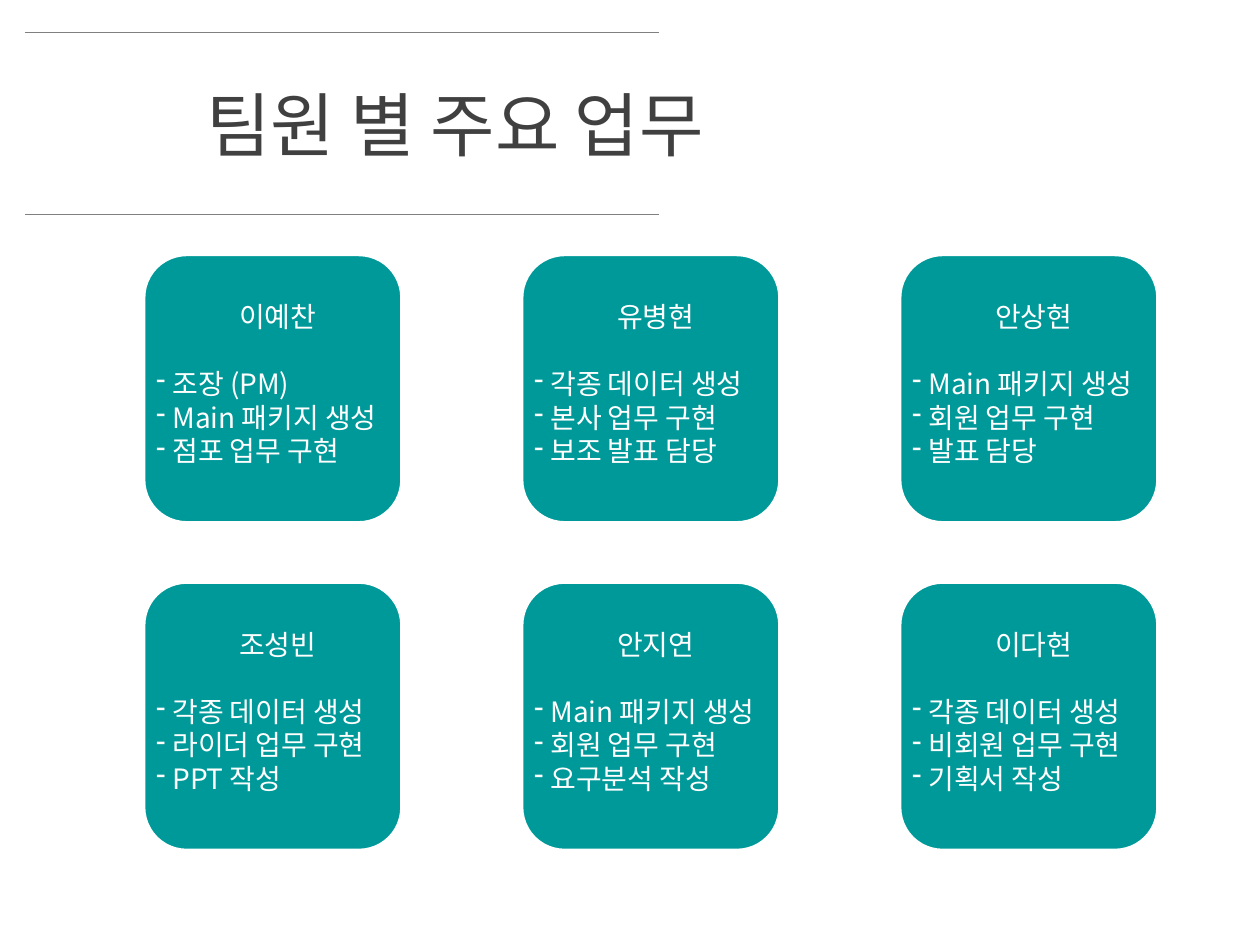
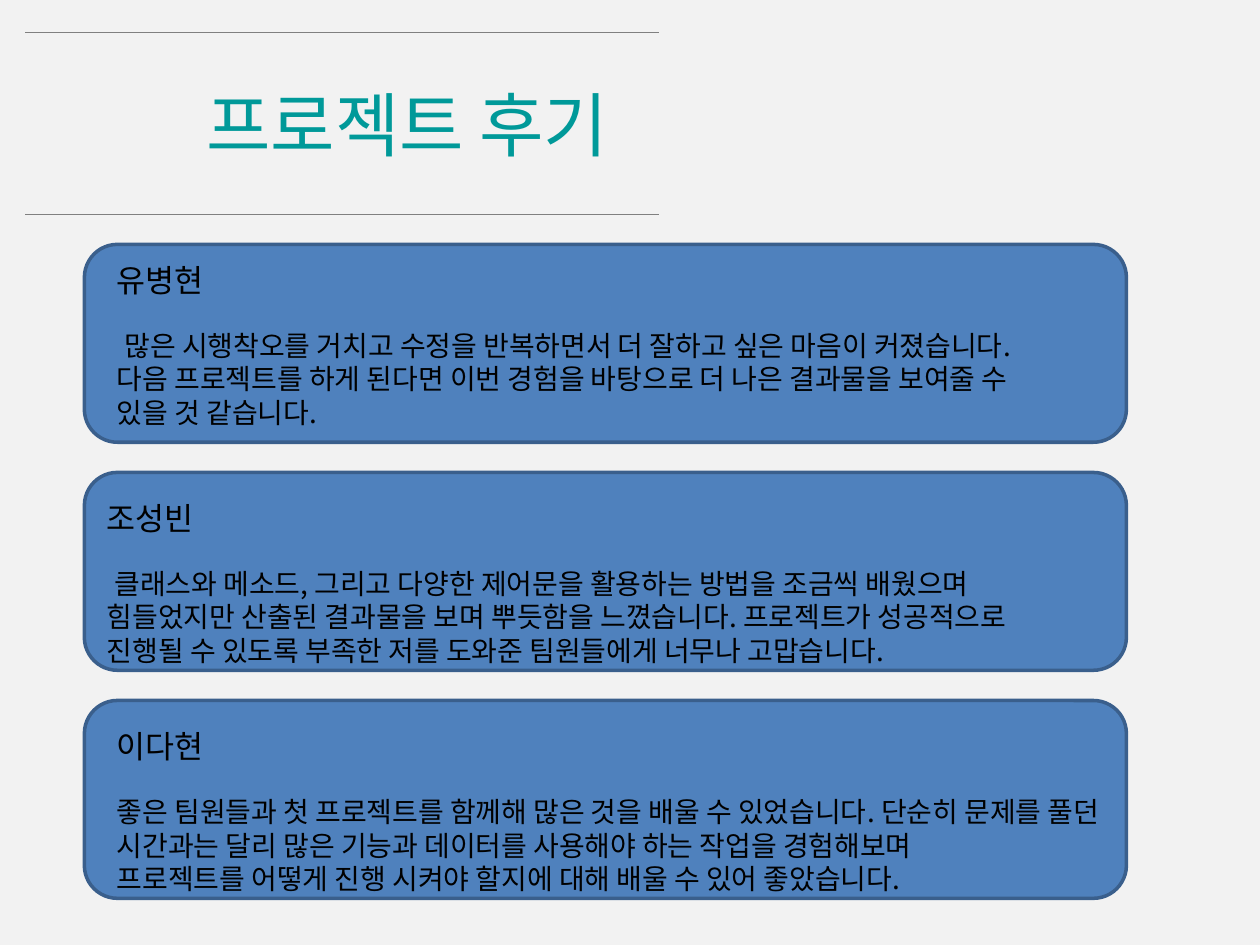
from lxml import etree
from pptx import Presentation
from pptx.dml.color import RGBColor
from pptx.enum.shapes import MSO_CONNECTOR, MSO_SHAPE
from pptx.enum.text import MSO_AUTO_SIZE, PP_ALIGN
from pptx.oxml.ns import qn
from pptx.util import Inches, Pt

ROUNDED = MSO_SHAPE.ROUNDED_RECTANGLE
STRAIGHT = MSO_CONNECTOR.STRAIGHT
GROW = MSO_AUTO_SIZE.SHAPE_TO_FIT_TEXT
CENTER = PP_ALIGN.CENTER

FONT = "Noto Sans CJK KR"
TEAL, WHITE, BLACK = "009999", "FFFFFF", "000000"
DARK_GRAY, GRAY, PALE_GRAY = "404040", "808080", "F2F2F2"
BLUE, DARK_BLUE = "4F81BD", "3A5F8C"

MEMBERS = [
    ("이예찬", ["조장 (PM)", "Main 패키지 생성", "점포 업무 구현"]),
    ("유병현", ["각종 데이터 생성", "본사 업무 구현", "보조 발표 담당"]),
    ("안상현", ["Main 패키지 생성", "회원 업무 구현", "발표 담당"]),
    ("조성빈", ["각종 데이터 생성", "라이더 업무 구현", "PPT 작성"]),
    ("안지연", ["Main 패키지 생성", "회원 업무 구현", "요구분석 작성"]),
    ("이다현", ["각종 데이터 생성", "비회원 업무 구현", "기획서 작성"]),
]

# Each review: name, text box (left, top, width), first-line indent, paragraphs.
REVIEWS = [
    ("유병현", (0.83, 2.02, 8.11), 0.06, [
        "많은 시행착오를 거치고 수정을 반복하면서 더 잘하고 싶은 마음이 커졌습니다.",
        "다음 프로젝트를 하게 된다면 이번 경험을 바탕으로 더 나은 결과물을 보여줄 수",
        "있을 것 같습니다."]),
    ("조성빈", (0.75, 3.91, 7.95), 0.06, [
        "클래스와 메소드, 그리고 다양한 제어문을 활용하는 방법을 조금씩 배웠으며",
        "힘들었지만 산출된 결과물을 보며 뿌듯함을 느꼈습니다. 프로젝트가 성공적으로 "
        "진행될 수 있도록 부족한 저를 도와준 팀원들에게 너무나 고맙습니다."]),
    ("이다현", (0.83, 5.72, 8.03), 0, [
        "좋은 팀원들과 첫 프로젝트를 함께해 많은 것을 배울 수 있었습니다. 단순히 문제를 "
        "풀던 시간과는 달리 많은 기능과 데이터를 사용해야 하는 작업을 경험해보며",
        "프로젝트를 어떻게 진행 시켜야 할지에 대해 배울 수 있어 좋았습니다."]),
]


def rgb(color):
    """Turn a hex string into a colour."""
    return RGBColor.from_string(color)


def set_indent(paragraph, margin, first_line, bullet=None):
    """Set the left margin, first-line indent and optional bullet character."""
    properties = paragraph._p.get_or_add_pPr()
    properties.set("marL", str(Inches(margin)))
    properties.set("indent", str(Inches(first_line)))
    if bullet:
        etree.SubElement(properties, qn("a:buChar")).set("char", bullet)


def format_runs(paragraph, size, color):
    """Give every run of a paragraph its font, size and colour."""
    for run in paragraph.runs:
        run.font.size = Pt(size)
        run.font.color.rgb = rgb(color)
        run.font.name = FONT
        east_asian = etree.Element(qn("a:ea"), typeface=FONT)
        run.font._element.find(qn("a:latin")).addnext(east_asian)


def add_text(slide, left, top, width, height, lines, size, color):
    """Add a wrapping text box with one paragraph a line and return its paragraphs."""
    box = slide.shapes.add_textbox(
        Inches(left), Inches(top), Inches(width), Inches(height))
    frame = box.text_frame
    frame.word_wrap = True
    frame.auto_size = GROW
    frame.text = "\n".join(lines)
    for paragraph in frame.paragraphs:
        format_runs(paragraph, size, color)
    return frame.paragraphs


def add_panel(slide, left, top, width, height, fill, line):
    """Add a filled rounded rectangle."""
    shape = slide.shapes.add_shape(
        ROUNDED, Inches(left), Inches(top), Inches(width), Inches(height))
    shape.shadow.inherit = False
    shape.fill.solid()
    shape.fill.fore_color.rgb = rgb(fill)
    shape.line.color.rgb = rgb(line)
    shape.line.width = Pt(2)


def add_rule(slide, top):
    """Add a thin horizontal rule of the title band."""
    rule = slide.shapes.add_connector(
        STRAIGHT, Inches(0.2), Inches(top), Inches(5.23), Inches(top))
    rule.line.color.rgb = rgb(GRAY)
    rule.line.width = Pt(0.75)
    etree.SubElement(rule._element.spPr, qn("a:effectLst"))


def add_titled_slide(presentation, title, title_color, background):
    """Add a blank slide with its background, title and two rules."""
    slide = presentation.slides.add_slide(presentation.slide_layouts[6])
    slide.background.fill.solid()
    slide.background.fill.fore_color.rgb = rgb(background)
    for top in (0.26, 1.7):
        add_rule(slide, top)
    add_text(slide, 1.54, 0.6, 4.49, 0.77, [title], 40, title_color)
    return slide


def add_member_card(slide, left, top, name, tasks):
    """Add a card with a member's name and task list."""
    add_panel(slide, left, top, 2.05, 2.13, TEAL, WHITE)
    heading, *items = add_text(
        slide, left, top + 0.31, 2.13, 1.45, [name, *tasks], 16, WHITE)
    heading.alignment = CENTER
    for item in items:
        set_indent(item, 0.13, -0.13, "-")
    items[0].space_before = Pt(19)


def add_review(slide, panel_top, name, text_area, first_line, review):
    """Add a panel with a member's name and review."""
    add_panel(slide, 0.67, panel_top, 8.27, 1.57, BLUE, DARK_BLUE)
    heading, opening, *_ = add_text(
        slide, *text_area, 1.48, [name, *review], 16, BLACK)
    for run in heading.runs:
        run.font.size = Pt(18)
    set_indent(opening, 0, first_line)
    opening.space_before = Pt(17)


def main():
    """Build and save the presentation."""
    presentation = Presentation()
    presentation.slide_width = Inches(10)
    presentation.slide_height = Inches(7.5)

    slide = add_titled_slide(presentation, "팀원 별 주요 업무", DARK_GRAY, WHITE)
    for index, (name, tasks) in enumerate(MEMBERS):
        row, column = divmod(index, 3)
        add_member_card(slide, 1.14 + 3 * column, 2.02 + 2.6 * row, name, tasks)

    slide = add_titled_slide(presentation, "프로젝트 후기", TEAL, PALE_GRAY)
    for index, review in enumerate(REVIEWS):
        add_review(slide, 1.94 + 1.81 * index, *review)

    presentation.save("out.pptx")


if __name__ == "__main__":
    main()
